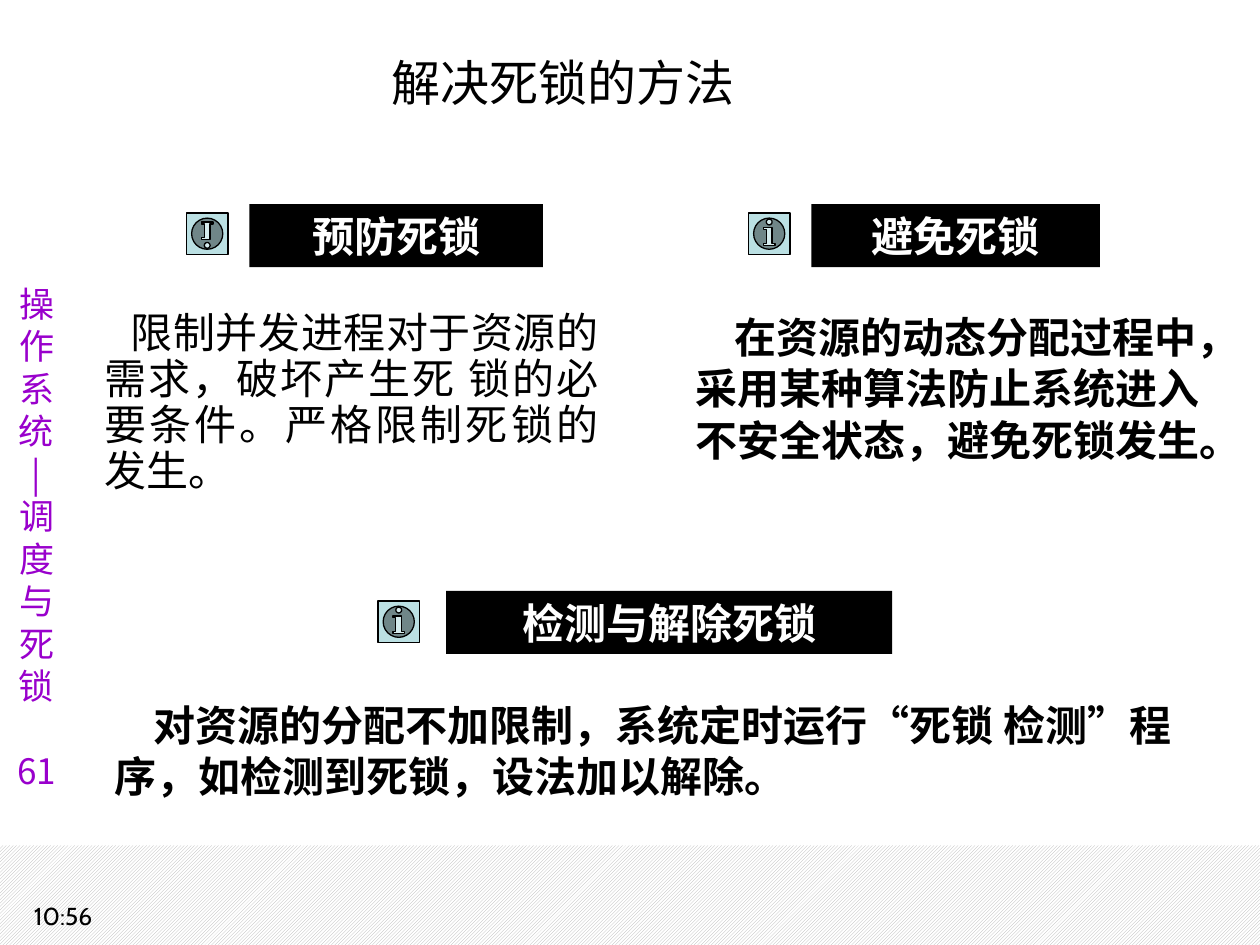
from dataclasses import dataclass

from lxml import etree
from pptx import Presentation
from pptx.dml.color import RGBColor
from pptx.enum.dml import MSO_PATTERN
from pptx.enum.shapes import MSO_SHAPE
from pptx.enum.text import MSO_ANCHOR, PP_ALIGN
from pptx.oxml.ns import qn
from pptx.util import Inches, Pt

RECTANGLE = MSO_SHAPE.RECTANGLE
INFO_BUTTON = MSO_SHAPE.ACTION_BUTTON_INFORMATION
STRIPES = MSO_PATTERN.DARK_UPWARD_DIAGONAL
TOP, MIDDLE, BOTTOM = MSO_ANCHOR.TOP, MSO_ANCHOR.MIDDLE, MSO_ANCHOR.BOTTOM
LEFT, CENTER, JUSTIFY = PP_ALIGN.LEFT, PP_ALIGN.CENTER, PP_ALIGN.JUSTIFY


@dataclass(frozen=True)
class Theme:
    black: RGBColor = RGBColor(0, 0, 0)
    white: RGBColor = RGBColor(255, 255, 255)
    purple: RGBColor = RGBColor(0x99, 0x00, 0xCC)
    icon: RGBColor = RGBColor(0xBB, 0xE0, 0xE3)
    stripe: RGBColor = RGBColor(0xB2, 0xB2, 0xB2)
    chinese: str = "Noto Sans CJK SC"
    heading: str = "Times New Roman"
    clock: str = "Cabin"
    title_size: int = 28
    text_size: int = 24
    side_size: int = 20
    clock_size: int = 14
    leading: float = 1.215


THEME = Theme()


def set_type(para, size, color, face=THEME.chinese, bold=False, align=LEFT, spacing=1):
    """Format a paragraph for both Latin and Chinese characters."""
    para.alignment = align
    para.line_spacing = Pt(round(size * THEME.leading * spacing, 1))
    para.font.size = Pt(size)
    para.font.bold = bold
    para.font.color.rgb = color
    para.font.name = face
    defaults = para._p.pPr.find(qn("a:defRPr"))
    etree.SubElement(defaults, qn("a:ea")).set("typeface", THEME.chinese)


def place(shape, box):
    shape.left, shape.top, shape.width, shape.height = map(Inches, box)


def add_text_box(page, box, anchor=TOP):
    frame = page.shapes.add_textbox(*map(Inches, box)).text_frame
    frame.word_wrap = True
    frame.vertical_anchor = anchor
    return frame


def add_plain_shape(page, kind, box, color):
    shape = page.shapes.add_shape(kind, *map(Inches, box))
    shape.shadow.inherit = False
    shape.fill.solid()
    shape.fill.fore_color.rgb = color
    shape.line.fill.background()
    return shape


def add_title(page, box, text):
    title = page.shapes.title
    place(title, box)
    frame = title.text_frame
    frame.text = text
    frame.word_wrap = True
    frame.vertical_anchor = TOP
    frame.margin_left = Inches(0.42)
    set_type(frame.paragraphs[0], THEME.title_size, THEME.black, align=CENTER)


def add_footer(page, box, clock):
    left, top, width, height = box
    band = add_plain_shape(page, RECTANGLE, box, THEME.stripe)
    band.fill.patterned()
    band.fill.pattern = STRIPES
    band.fill.fore_color.rgb = THEME.stripe
    band.fill.back_color.rgb = THEME.white
    frame = add_text_box(page, (left, top + height - 0.4, width, 0.4))
    frame.margin_left = Inches(0.27)
    frame.text = clock
    set_type(frame.paragraphs[0], THEME.clock_size, THEME.black, THEME.clock)


def add_sidebar(page, box, course, number):
    """Add a column narrow enough to hold one character a line."""
    frame = add_text_box(page, box, BOTTOM)
    frame.margin_left = frame.margin_right = Inches(0.13)
    frame.text = course
    frame.add_paragraph().text = number
    for para in frame.paragraphs:
        set_type(para, THEME.side_size, THEME.purple, align=CENTER)
    frame.paragraphs[1].space_before = Pt(24)


def add_heading(page, box, text, icon_at, flipped=False):
    icon = add_plain_shape(page, INFO_BUTTON, (*icon_at, 0.33, 0.33), THEME.icon)
    icon.line.color.rgb = THEME.black
    icon.line.width = Pt(0.75)
    if flipped:
        icon._element.spPr.find(qn("a:xfrm")).set("flipV", "1")
    bar = add_plain_shape(page, RECTANGLE, box, THEME.black)
    frame = bar.text_frame
    frame.text = text
    frame.vertical_anchor = MIDDLE
    set_type(frame.paragraphs[0], THEME.text_size, THEME.white, THEME.heading, True, CENTER)


def add_description(page, box, text, indent, margin=0.0, bold=True, align=LEFT, spacing=1):
    frame = add_text_box(page, box)
    frame.margin_right = Inches(0.05)
    frame.text = text
    para = frame.paragraphs[0]
    set_type(para, THEME.text_size, THEME.black, bold=bold, align=align, spacing=spacing)
    properties = para._p.pPr
    properties.set("marL", str(Inches(margin)))
    properties.set("indent", str(Inches(indent)))


def add_methods(page):
    add_heading(page, (1.98, 1.62, 2.33, 0.5), "预防死锁", (1.48, 1.69), flipped=True)
    add_description(page, (0.35, 2.42, 4.45, 1.67),
                    "限制并发进程对于资源的需求，破坏产生死 锁的必要条件。严格限制死锁的发生。",
                    0.21, margin=0.38, bold=False, align=JUSTIFY, spacing=0.9)
    add_heading(page, (6.44, 1.62, 2.29, 0.5), "避免死锁", (5.94, 1.69))
    add_description(page, (5.42, 2.42, 4.21, 1.72),
                    "在资源的动态分配过程中，采用某种算法防止系统进入不安全状态，避免死锁发生。", 0.31)
    add_heading(page, (3.54, 4.69, 3.54, 0.5), "检测与解除死锁", (3, 4.77))
    add_description(page, (0.81, 5.5, 8.58, 0.91),
                    "对资源的分配不加限制，系统定时运行“死锁 检测”程序，如检测到死锁，设法加以解除。", 0.31)


def main():
    deck = Presentation()
    deck.slide_width, deck.slide_height = Inches(10), Inches(7.5)
    page = deck.slides.add_slide(deck.slide_layouts[5])
    add_footer(page, (0, 6.71, 10, 0.79), "10:56")
    add_sidebar(page, (0, 2, 0.58, 4.33), "操作系统|调度与死锁", "61")
    add_title(page, (0.36, 0.36, 7.9, 0.5), "解决死锁的方法")
    add_methods(page)
    deck.save("out.pptx")


if __name__ == "__main__":
    main()
